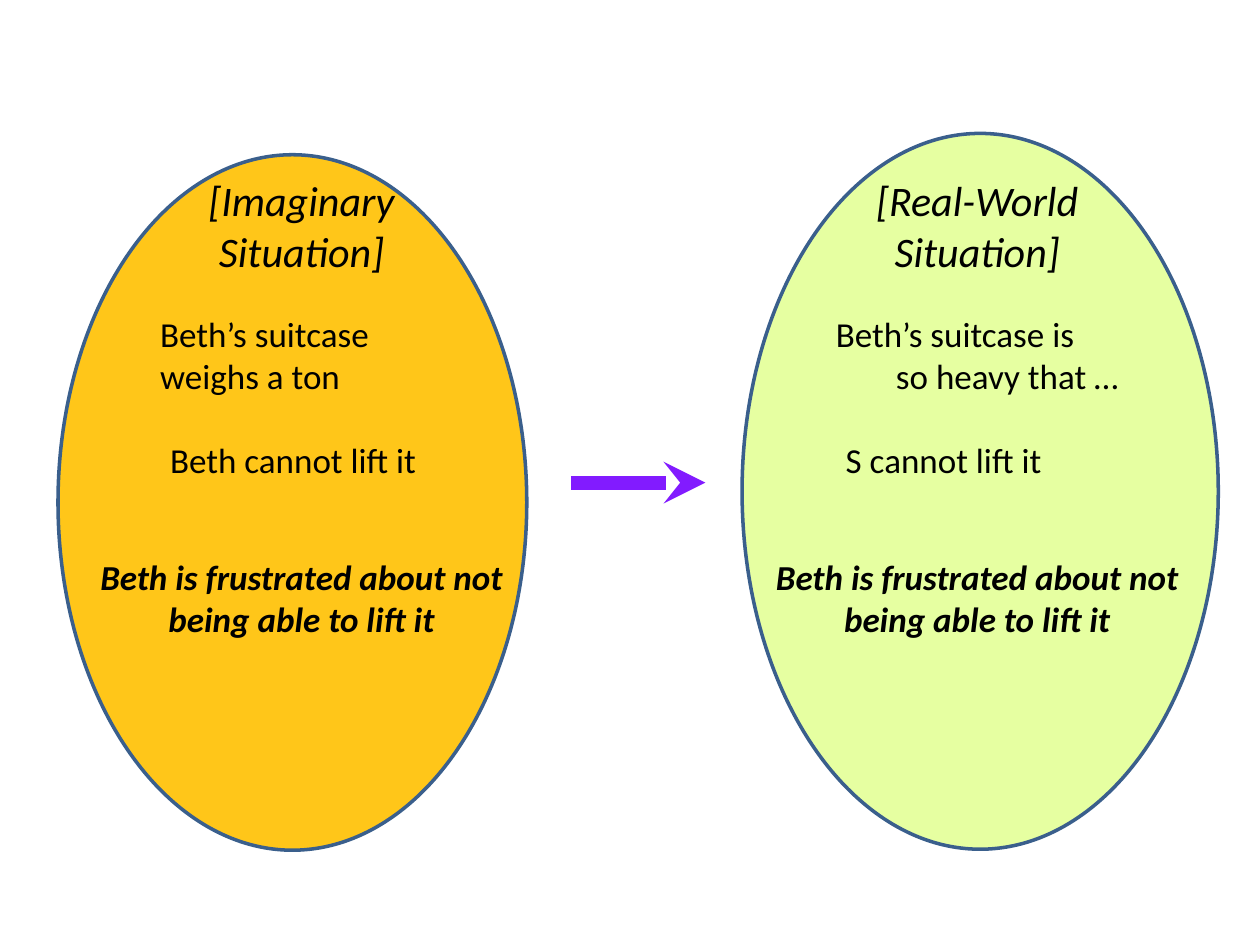
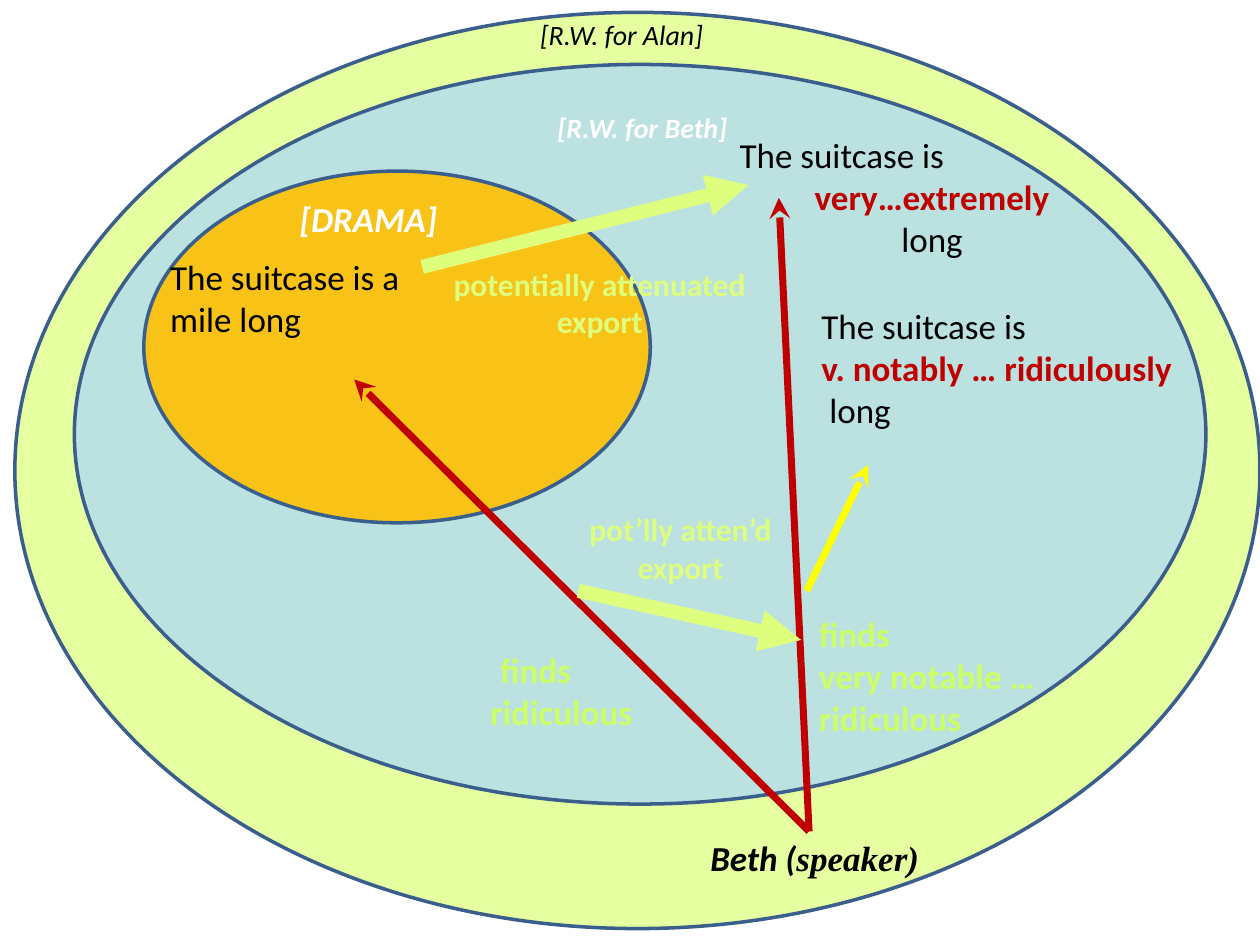
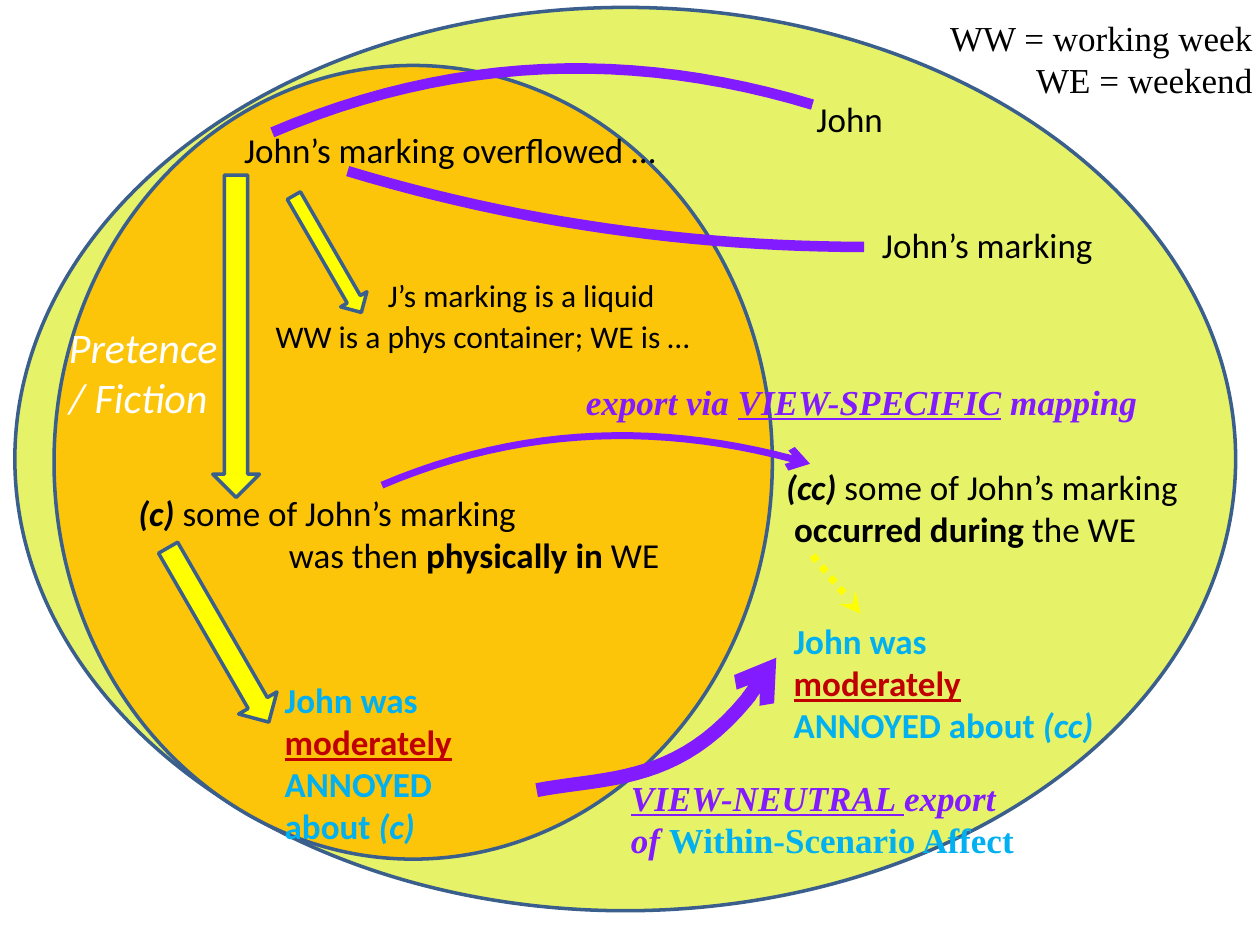
from dataclasses import dataclass
from lxml.etree import SubElement
from pptx import Presentation
from pptx.dml.color import RGBColor as Rgb
from pptx.enum.dml import MSO_LINE as Dash
from pptx.enum.shapes import MSO_CONNECTOR as Conn, MSO_SHAPE as Shape
from pptx.enum.text import PP_ALIGN as Align
from pptx.oxml.ns import qn
from pptx.util import Cm, Pt


@dataclass(frozen=True)
class Theme:
    sans: str = "Calibri"
    serif: str = "Times New Roman"
    black: str = "000000"
    white: str = "FFFFFF"
    edge: str = "3A5F8C"
    gold: tuple = ("FFC000", 90)
    lime: tuple = ("DDFF7D", 72)
    olive: tuple = ("DDEF31", 73)
    aqua: tuple = ("B7DEE8", 90)
    leaf: str = "CCFF66"
    blue: str = "00B0F0"
    red: str = "C00000"
    violet: str = "821BFF"
    yellow: str = "FFFF00"
    head: int = 24
    body: int = 20
    note: int = 18
    tag: int = 16
    rim: int = 2
    thin: int = 4
    mid: int = 6
    thick: int = 8
    tiny: float = 4.4
    slim: float = 6.2
    fair: float = 6.7
    wide: float = 8.6
    full: float = 11


T = Theme()
SIDES = {"l": Align.LEFT, "c": Align.CENTER, "r": Align.RIGHT}
STEPS = 24

bold = dict(bold=True)
slant = dict(italic=True)
strong = dict(bold=True, italic=True)
red = dict(color=T.red, bold=True)
line_under = dict(underline=True)
warm = dict(color=T.red, underline=True)
head = dict(size=T.head, italic=True)
feel = dict(color=T.blue, bold=True, rows=3)
finds = dict(color=T.leaf, bold=True)
export = dict(size=T.note, color=T.lime[0], bold=True, align="c")
view = dict(font=T.serif, color=T.violet, bold=True, italic=True)
aside = dict(size=T.note, align="c")

shift = (T.violet, T.thick, "stealth")
beam = (T.lime[0], T.thick, "triangle")
gaze = (T.red, T.thin, "stealth")
hint = (T.yellow, T.thin, "stealth")

mood = ["Beth is frustrated about not being able to lift it"]
ROWS = [
    (3.4, 5.1, dict(head, align="c", rows=2)),
    (6.17, T.slim, dict(align="lr", rows=2)),
    (8.72, 5.8, {}),
    (11.07, 8.74, dict(strong, align="c", rows=2)),
]
MINDS = {
    6.08: [["[Imaginary", "Situation]"], ["Beth’s suitcase weighs a ton"],
           ["Beth cannot lift it"], mood],
    19.7: [["[Real-World Situation]"], ["Beth’s suitcase is", "so heavy that …"],
           ["S cannot lift it"], mood],
}
speaker = (16.31, 16.76)

SLIDES = [
    dict(
        ovals=[
            ((14.96, 2.69, 9.6, 14.43), T.lime),
            ((1.17, 3.12, 9.45, 14.02), T.gold),
        ],
        lines=[((11.51, 9.73), (14.22, 9.73), *shift)],
        texts=[((mid - wide / 2, top, wide), lines, form)
               for mid, mind in MINDS.items()
               for (top, wide, form), lines in zip(ROWS, mind)],
    ),
    dict(
        ovals=[
            ((0.3, 0.25, 25.1, 18.47), T.lime),
            ((1.5, 1.3, 22.81, 14.91), T.aqua),
            ((2.9, 3.45, 10.21, 7.09), T.gold),
        ],
        lines=[
            ((8.51, 5.38), (15.09, 3.73), *beam),
            (speaker, (7.14, 7.65), *gaze),
            (speaker, (15.7, 3.99), *gaze),
            ((16.26, 11.91), (17.5, 9.37), *hint),
            ((11.66, 11.91), (16.15, 12.9), *beam),
        ],
        texts=[
            ((9.43, 0.23, T.slim), ["[R.W. for Alan]"],
             dict(slant, size=T.tag, align="c")),
            ((9.85, 2.11, T.slim), ["[R.W. for Beth]"],
             dict(strong, size=T.tag, color=T.white, align="c")),
            ((5.23, 3.86, T.tiny), ["[DRAMA]"],
             dict(strong, color=T.white, align="c")),
            ((3.18, 5.03, T.slim), ["The suitcase is a mile long"], dict(rows=2)),
            ((14.66, 2.57, 8.1),
             ["The suitcase is", [" ", ("very…extremely", red)], " long"],
             dict(align="lcc")),
            ((16.31, 6.02, T.wide),
             ["The suitcase is", [("v. notably … ridiculously", red)], " long"], {}),
            ((7.79, 5.21, T.wide), [" potentially attenuated ", "export"], export),
            ((10.62, 10.16, T.slim), ["pot’lly atten’d", "export"], export),
            ((8.6, 12.95, T.tiny), ["finds", " ridiculous"],
             dict(finds, align="cr")),
            ((16.26, 12.22, T.wide), ["finds", "very notable …", "ridiculous"],
             finds),
            ((14.07, 16.74, T.slim),
             [["Beth (", ("speaker)", dict(font=T.serif))]], strong),
        ],
    ),
    dict(
        ovals=[
            ((0.3, 0.15, 24.61, 18.21), T.olive),
            ((1.09, 1.32, 14.48, 16), T.gold),
        ],
        arrows=[
            ((4.29, 3.53, 0.94, 6.5), 0),
            ((6.3, 3.76, 0.61, 2.72), -30),
            ((3.96, 10.77, 0.89, 4.06), -30),
        ],
        curves=[
            ((7.7, 9.78), (16.33, 9.35), (-1.22, -1.27), T.thin, "arrow"),
            ((10.82, 15.93), (15.65, 13.26), (-0.31, -0.06), T.thick, "arrow"),
            ((5.49, 2.67), (16.38, 2.11), (-1.55, -1.66), T.mid),
            ((7.01, 3.45), (17.42, 4.98), (1.05, 1.52), T.mid),
        ],
        lines=[((16.38, 11.2), (17.35, 12.37), *hint, Dash.ROUND_DOT)],
        texts=[
            ((18.8, 0.2, T.fair), ["WW = working week WE = weekend"],
             dict(font=T.serif, align="r", rows=3)),
            ((16.21, 1.85, T.tiny), ["John"], {}),
            ((17.53, 4.39, T.slim), ["John’s marking"], {}),
            ((4.67, 2.46, T.full), ["John’s marking overflowed …"], {}),
            ((6.21, 5.44, T.wide), ["J’s marking is a liquid"], aside),
            ((4.23, 6.27, T.full), ["WW is a phys container; WE is …"], aside),
            ((1.14, 6.35, T.tiny), ["Pretence", "/ Fiction"],
             dict(head, color=T.white)),
            ((11.56, 7.54, 12.34),
             [["export via ", ("VIEW-SPECIFIC", line_under), " mapping"]], view),
            ((2.54, 9.78, T.full),
             [[("(c) ", strong), "some of John’s marking"],
              ["was then ", ("physically in ", bold), "WE"]], dict(align="lr")),
            ((15.6, 9.25, T.wide),
             [[("(cc) ", strong), "some of John’s marking"],
              [" ", ("occurred during ", bold), "the WE"]], {}),
            ((5.49, 13.56, T.fair),
             [["John was ", ("moderately", warm), " ANNOYED"],
              ["about ", ("(c)", slant)]], feel),
            ((15.75, 12.37, T.fair),
             [["John was ", ("moderately", warm), " ANNOYED about ",
               ("(cc)", slant)]], feel),
            ((12.47, 15.52, T.full),
             [[("VIEW-NEUTRAL ", line_under), "export"],
              ["of ", ("Within-Scenario Affect", dict(color=T.blue, italic=False))]],
             view),
        ],
    ),
]


def style(run, font=T.sans, size=T.body, color=T.black,
          bold=False, italic=False, underline=False):
    face = run.font
    face.name, face.size = font, Pt(size)
    face.bold, face.italic, face.underline = bold, italic, underline
    face.color.rgb = Rgb.from_string(color)


def text(slide, spot, lines, align="l", rows=None, **form):
    lead = Pt(form.get("size", T.body) * 1.2)
    tall = Cm(0.25) + (rows or len(lines)) * lead
    frame = slide.shapes.add_textbox(*map(Cm, spot), tall).text_frame
    frame.word_wrap = True
    for i, line in enumerate(lines):
        para = frame.add_paragraph() if i else frame.paragraphs[0]
        para.alignment = SIDES[align[min(i, len(align) - 1)]]
        for part in [line] if isinstance(line, str) else line:
            words, extra = (part, {}) if isinstance(part, str) else part
            run = para.add_run()
            run.text = words
            style(run, **{**form, **extra})


def stroke(item, color, width, tip=None, dash=None):
    item.line.color.rgb = Rgb.from_string(color)
    item.line.width = Pt(width)
    if dash:
        item.line.dash_style = dash
    if tip:
        SubElement(item._element.spPr.find(qn("a:ln")), qn("a:tailEnd"), type=tip)


def solid(slide, kind, box, color, alpha=None, turn=0):
    item = slide.shapes.add_shape(kind, *map(Cm, box))
    item.shadow.inherit = False
    item.rotation = turn
    item.fill.solid()
    item.fill.fore_color.rgb = Rgb.from_string(color)
    if alpha:
        tint = item._element.spPr.find(".//" + qn("a:srgbClr"))
        SubElement(tint, qn("a:alpha"), val=f"{alpha}000")
    stroke(item, T.edge, T.rim)


def line(slide, start, end, *look):
    item = slide.shapes.add_connector(Conn.STRAIGHT, *map(Cm, start + end))
    stroke(item, *look)
    SubElement(item._element.spPr, qn("a:effectLst"))


def curve(slide, start, end, lifts, *look):
    (x, y), (right, low) = start, end
    dots = []
    for step in range(1, STEPS + 1):
        t = step / STEPS
        u = 1 - t
        rise = 3 * u * t * (u * lifts[0] + t * lifts[1]) + t**3 * (low - y)
        dots.append((Cm(x + t * (right - x)), Cm(y + rise)))
    pen = slide.shapes.build_freeform(Cm(x), Cm(y))
    pen.add_line_segments(dots, close=False)
    item = pen.convert_to_shape()
    item.shadow.inherit = False
    item.fill.background()
    stroke(item, T.violet, *look)


def main():
    deck = Presentation()
    deck.slide_width, deck.slide_height = Cm(25.4), Cm(19.05)
    for page in SLIDES:
        slide = deck.slides.add_slide(deck.slide_layouts[6])
        for box, paint in page["ovals"]:
            solid(slide, Shape.OVAL, box, *paint)
        for box, turn in page.get("arrows", []):
            solid(slide, Shape.DOWN_ARROW, box, T.yellow, turn=turn)
        for args in page.get("curves", []):
            curve(slide, *args)
        for args in page["lines"]:
            line(slide, *args)
        for spot, lines, form in page["texts"]:
            text(slide, spot, lines, **form)
    deck.save("out.pptx")


if __name__ == "__main__":
    main()
